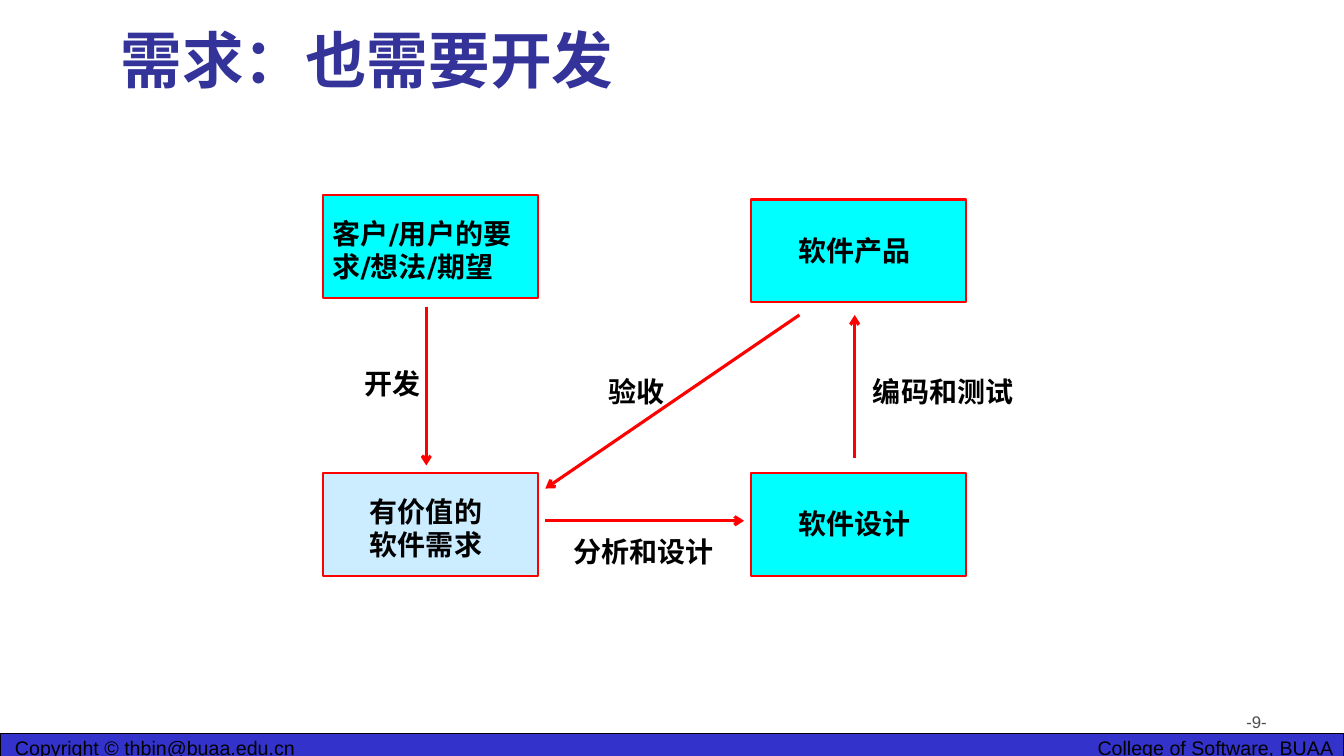
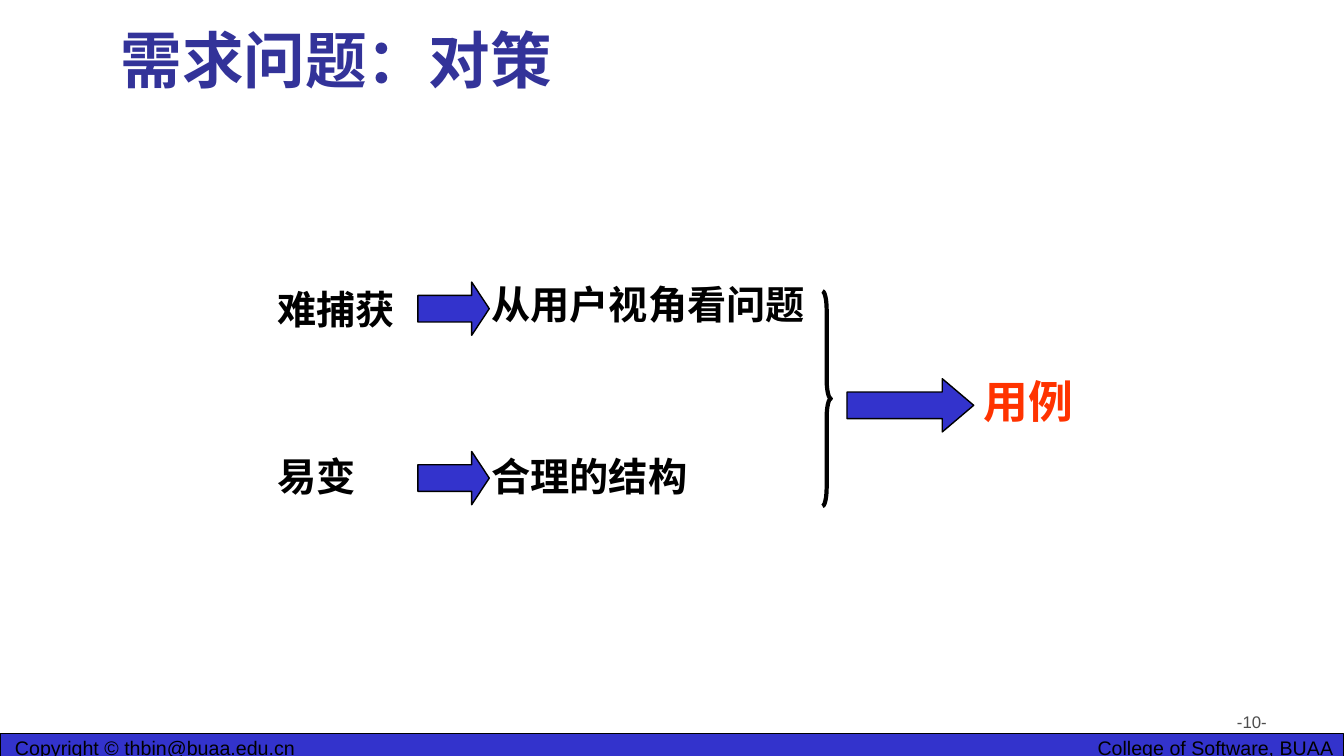
from lxml import etree
from pptx import Presentation
from pptx.dml.color import RGBColor
from pptx.enum.shapes import MSO_CONNECTOR, MSO_SHAPE
from pptx.enum.text import MSO_ANCHOR, PP_ALIGN
from pptx.oxml.ns import qn
from pptx.util import Pt

LEFT, CENTER, RIGHT = PP_ALIGN.LEFT, PP_ALIGN.CENTER, PP_ALIGN.RIGHT
TOP, BOTTOM = MSO_ANCHOR.TOP, MSO_ANCHOR.BOTTOM
RECT, ARROW, BRACE = MSO_SHAPE.RECTANGLE, MSO_SHAPE.RIGHT_ARROW, MSO_SHAPE.RIGHT_BRACE
STRAIGHT = MSO_CONNECTOR.STRAIGHT

COLORS = {"title": "333399", "blue": "3333CC", "black": "000000", "gray": "4D4D4D",
          "cyan": "00FFFF", "pale": "CCECFF", "red": "FF0000", "orange": "FF3300"}
SLIDE_W, SLIDE_H = 960, 540
TITLE_FONT, FLOW_FONT, BODY_FONT = "Lato", "DejaVu Sans", "Arial"

FOOTERS = [("Copyright © thbin@buaa.edu.cn", 3.6, LEFT),
           ("College of Software, BUAA", 623.6, RIGHT)]

# Flow diagram: text, left, top, fill, alignment
BOX_W, BOX_H = 153.5, 73.5
BOXES = [("客户/用户的要求/想法/期望", 230.5, 139.5, "cyan", LEFT),
         ("软件产品", 536.5, 142.5, "cyan", CENTER),
         ("有价值的\v软件需求", 230.5, 338, "pale", CENTER),
         ("软件设计", 536.5, 338, "cyan", CENTER)]
# Start x, y and end x, y
FLOWS = [(304.5, 219, 304.5, 332.5), (610.5, 327, 610.5, 225),
         (571, 225, 389.5, 349), (389.5, 372, 531.5, 372)]
# Text, left, top, width, alignment
FLOW_LABELS = [("开发", 253.5, 258.5, 57, LEFT), ("编码和测试", 616.5, 264, 119, LEFT),
               ("验收", 423.5, 264, 62.5, CENTER), ("分析和设计", 400.5, 378, 119, CENTER)]

# Countermeasures: text, left, top, width, size, colour
TERMS = [("难捕获", 191, 200, 108, 28, "black"), ("易变", 191, 319.5, 135, 28, "black"),
         ("从用户视角看问题", 344, 196.5, 249, 28, "black"),
         ("合理的结构", 344, 319.5, 263, 28, "black"),
         ("用例", 695.5, 263.5, 91, 32, "orange")]
# Left, top, width, head length
BLOCK_ARROWS = [(298.5, 201.5, 51, 0.33), (298.5, 322.5, 51, 0.33), (605, 270.5, 90.5, 0.59)]
BLOCK_ARROW_H = 38
BRACE_BOX = (587.5, 208, 6, 153.5)


def rgb(name):
    return RGBColor.from_string(COLORS[name])


def write(tf, text, size, font, color="black", align=LEFT, bold=True, anchor=TOP):
    tf.word_wrap = True
    tf.vertical_anchor = anchor
    p = tf.paragraphs[0]
    p.text = text
    p.alignment = align
    for r in p.runs:
        r.font.size, r.font.name, r.font.bold = Pt(size), font, bold
        r.font.color.rgb = rgb(color)


def add_text(s, text, left, top, width, height, size, font, **style):
    box = s.shapes.add_textbox(Pt(left), Pt(top), Pt(width), Pt(height))
    write(box.text_frame, text, size, font, **style)


def add_shape(s, kind, box, fill, line, line_w, adjustments=()):
    sp = s.shapes.add_shape(kind, *map(Pt, box))
    sp.shadow.inherit = False
    if fill:
        sp.fill.solid()
        sp.fill.fore_color.rgb = rgb(fill)
    else:
        sp.fill.background()
    sp.line.color.rgb = rgb(line)
    sp.line.width = Pt(line_w)
    for i, value in enumerate(adjustments):
        sp.adjustments[i] = value
    return sp


def add_flow(s, ends):
    """Draw a red connector with an open arrowhead at its end."""
    c = s.shapes.add_connector(STRAIGHT, *map(Pt, ends))
    c.line.color.rgb = rgb("red")
    c.line.width = Pt(2.25)
    sp_pr = c.line._get_or_add_ln().getparent()
    etree.SubElement(sp_pr.find(qn("a:ln")), qn("a:tailEnd"), type="arrow")
    etree.SubElement(sp_pr, qn("a:effectLst"))


def new_slide(prs, title, number):
    """Add a slide with the shared title, footer band and page number."""
    s = prs.slides.add_slide(prs.slide_layouts[6])
    add_shape(s, RECT, (0, 524, SLIDE_W, 18), "blue", "black", 0.75)
    for text, left, align in FOOTERS:
        add_text(s, text, left, 522, 336, 24, 14, BODY_FONT, align=align, bold=False)
    add_text(s, f"-{number}-", 688, 504.5, 224, 37, 12, BODY_FONT,
             color="gray", align=RIGHT, bold=False)
    add_text(s, title, 79, 21, 793, 51, 44, TITLE_FONT, color="title", anchor=BOTTOM)
    return s


def build_flow(prs):
    s = new_slide(prs, "需求：也需要开发", 9)
    for text, left, top, fill, align in BOXES:
        sp = add_shape(s, RECT, (left, top, BOX_W, BOX_H), fill, "red", 1.5)
        tf = sp.text_frame
        two_lines = align == LEFT or "\v" in text
        tf.margin_top = Pt(15 if two_lines else 24)
        tf.margin_right = Pt(2 if align == LEFT else 13)
        write(tf, text, 20, FLOW_FONT, align=align)
    for ends in FLOWS:
        add_flow(s, ends)
    for text, left, top, width, align in FLOW_LABELS:
        add_text(s, text, left, top, width, 31, 20, FLOW_FONT, align=align)


def build_countermeasures(prs):
    s = new_slide(prs, "需求问题：对策", 10)
    for text, left, top, width, size, color in TERMS:
        add_text(s, text, left, top, width, size * 1.45, size, BODY_FONT, color=color)
    for left, top, width, head in BLOCK_ARROWS:
        add_shape(s, ARROW, (left, top, width, BLOCK_ARROW_H), "blue", "black", 1, (0.5, head))
    add_shape(s, BRACE, BRACE_BOX, None, "black", 3, (2.22, 0.5))


def main():
    prs = Presentation()
    prs.slide_width, prs.slide_height = Pt(SLIDE_W), Pt(SLIDE_H)
    build_flow(prs)
    build_countermeasures(prs)
    prs.save("out.pptx")


if __name__ == "__main__":
    main()
